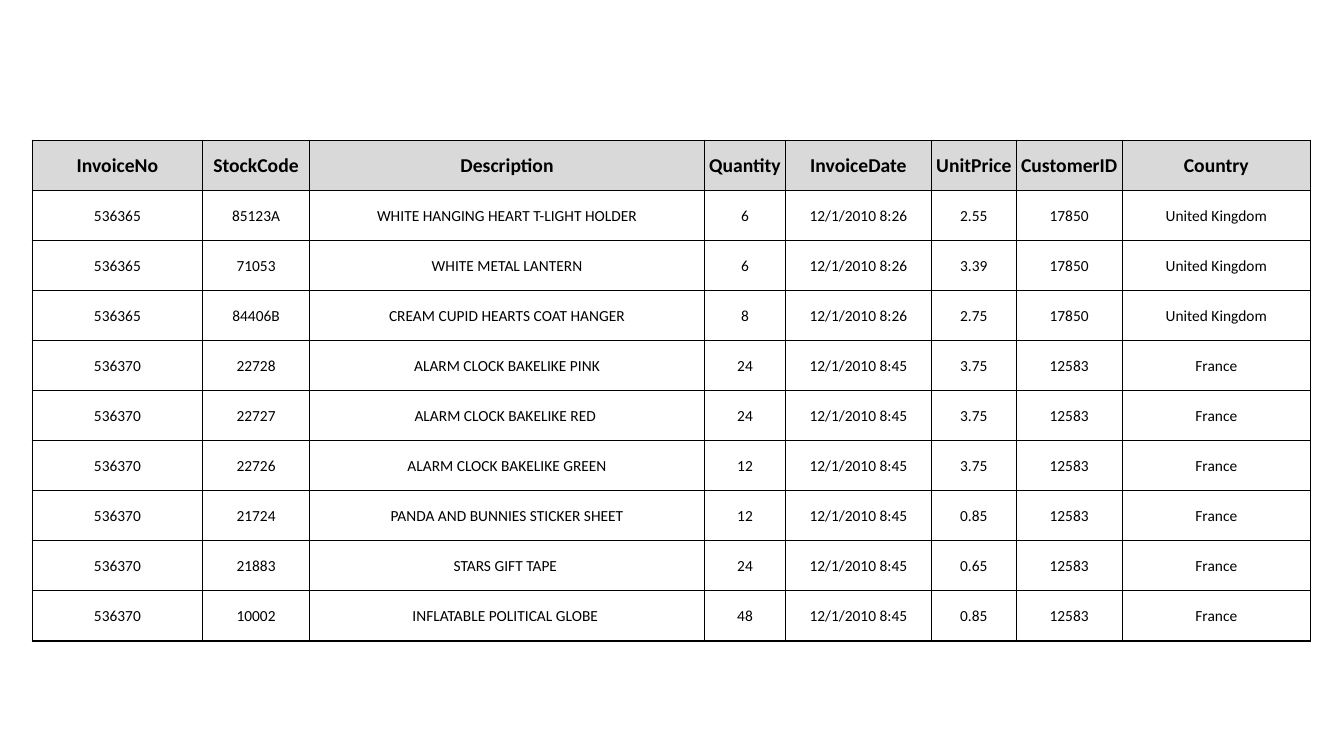
from lxml import etree
from pptx import Presentation
from pptx.dml.color import RGBColor
from pptx.enum.text import MSO_ANCHOR, PP_ALIGN
from pptx.oxml.ns import qn
from pptx.util import Inches, Pt

MIDDLE = MSO_ANCHOR.MIDDLE
CENTER = PP_ALIGN.CENTER
BLACK = "000000"
HEADER_GRAY = "D9D9D9"
BORDER_SIDES = ("a:lnL", "a:lnR", "a:lnT", "a:lnB")

CELL_FORMAT = {
    "margin_left": Inches(0.01),
    "margin_right": Inches(0.01),
    "margin_top": Inches(0.01),
    "margin_bottom": 0,
    "vertical_anchor": MIDDLE,
}
HEADER_FONT = {"name": "Calibri", "size": Pt(14), "bold": True}
BODY_FONT = {"name": "Calibri", "size": Pt(11), "bold": False}

# Column headings with their widths in inches
COLUMNS = [
    ("InvoiceNo", 1.69), ("StockCode", 1.06), ("Description", 3.92),
    ("Quantity", 0.8), ("InvoiceDate", 1.45), ("UnitPrice", 0.84),
    ("CustomerID", 1.05), ("Country", 1.87),
]

# Each invoice: number, date, customer, country, and its lines
INVOICES = [
    ("536365", "12/1/2010 8:26", "17850", "United Kingdom", [
        ("85123A", "WHITE HANGING HEART T-LIGHT HOLDER", "6", "2.55"),
        ("71053", "WHITE METAL LANTERN", "6", "3.39"),
        ("84406B", "CREAM CUPID HEARTS COAT HANGER", "8", "2.75"),
    ]),
    ("536370", "12/1/2010 8:45", "12583", "France", [
        ("22728", "ALARM CLOCK BAKELIKE PINK", "24", "3.75"),
        ("22727", "ALARM CLOCK BAKELIKE RED ", "24", "3.75"),
        ("22726", "ALARM CLOCK BAKELIKE GREEN", "12", "3.75"),
        ("21724", "PANDA AND BUNNIES STICKER SHEET", "12", "0.85"),
        ("21883", "STARS GIFT TAPE ", "24", "0.65"),
        ("10002", "INFLATABLE POLITICAL GLOBE ", "48", "0.85"),
    ]),
]


def color(hex_value):
    return RGBColor.from_string(hex_value)


def add_borders(cell):
    properties = cell._tc.get_or_add_tcPr()
    for side in BORDER_SIDES:
        line = etree.SubElement(properties, qn(side), w=str(Pt(1)))
        fill = etree.SubElement(line, qn("a:solidFill"))
        etree.SubElement(fill, qn("a:srgbClr"), val=BLACK)


deck = Presentation()
deck.slide_width = Inches(13.33)
deck.slide_height = Inches(7.5)
page = deck.slides.add_slide(deck.slide_layouts[6])

# One table row per invoice line, below the headings
rows = [[heading for heading, width in COLUMNS]]
for number, date, customer, country, lines in INVOICES:
    for stock_code, description, quantity, price in lines:
        rows.append([number, stock_code, description, quantity,
                     date, price, customer, country])

# Table frame
table = page.shapes.add_table(
    len(rows), len(COLUMNS),
    Inches(0.32), Inches(1.39), Inches(12.68), Inches(4.97)).table
table.horz_banding = False
for column, (heading, width) in zip(table.columns, COLUMNS):
    column.width = Inches(width)

# Cells
for row_index, values in enumerate(rows):
    is_header = row_index == 0
    for column_index, value in enumerate(values):
        cell = table.cell(row_index, column_index)
        for name, setting in CELL_FORMAT.items():
            setattr(cell, name, setting)
        add_borders(cell)
        if is_header:
            cell.fill.solid()
            cell.fill.fore_color.rgb = color(HEADER_GRAY)
        else:
            cell.fill.background()

        para = cell.text_frame.paragraphs[0]
        para.alignment = CENTER
        span = para.add_run()
        span.text = value
        span.font.color.rgb = color(BLACK)
        for name, setting in (HEADER_FONT if is_header else BODY_FONT).items():
            setattr(span.font, name, setting)

deck.save("out.pptx")
